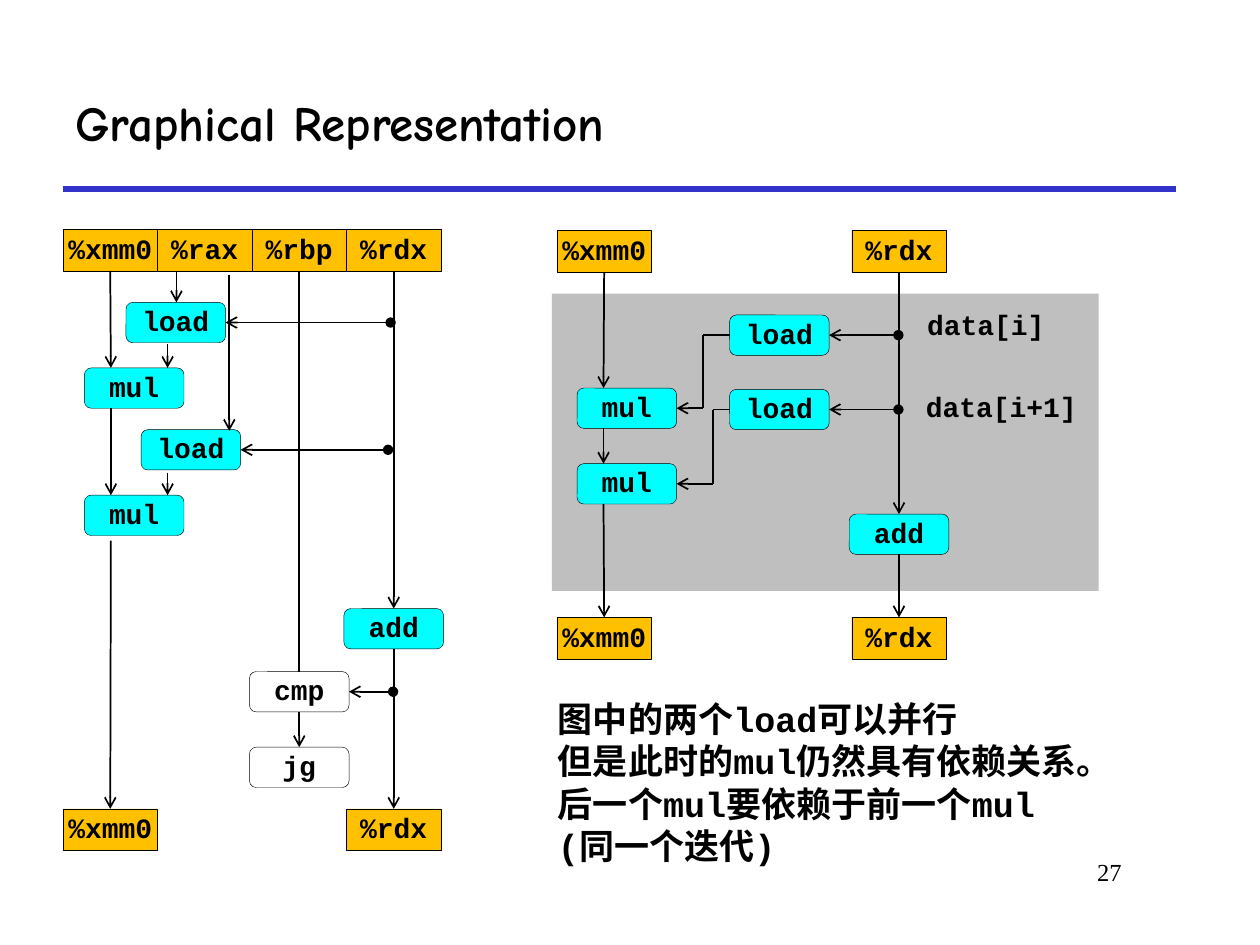
from lxml.etree import SubElement
from pptx import Presentation
from pptx.dml.color import RGBColor
from pptx.enum.shapes import MSO_CONNECTOR, MSO_SHAPE
from pptx.enum.text import MSO_ANCHOR, PP_ALIGN
from pptx.oxml.ns import qn
from pptx.util import Inches, Pt

BLACK = RGBColor(0, 0, 0)
WHITE = RGBColor(255, 255, 255)
GOLD = RGBColor(0xFF, 0xC0, 0)
CYAN = RGBColor(0, 255, 255)
GRAY = RGBColor(0xBF, 0xBF, 0xBF)
BLUE = RGBColor(0x33, 0x33, 0xCC)
CODE_FONT = "Courier New"
TOP, LEFT, BOTTOM, RIGHT = range(4)

REGISTER = (MSO_SHAPE.RECTANGLE, 0.75, 0.33, GOLD)
LOOP_OP = (MSO_SHAPE.ROUNDED_RECTANGLE, 0.79, 0.32, CYAN)
TEST_OP = (MSO_SHAPE.ROUNDED_RECTANGLE, 0.79, 0.32, WHITE)

REGISTER_ROW = ["%xmm0", "%rax", "%rbp", "%rdx"]
nodes = {f"{name} in": (name, REGISTER, 0.5 + 0.75 * column, 1.82)
         for column, name in enumerate(REGISTER_ROW)}
nodes.update({
    "%xmm0 out": ("%xmm0", REGISTER, 0.5, 6.42),
    "%rdx out": ("%rdx", REGISTER, 2.75, 6.42),
    "load 1": ("load", LOOP_OP, 1, 2.4),
    "mul 1": ("mul", LOOP_OP, 0.67, 2.92),
    "load 2": ("load", LOOP_OP, 1.12, 3.41),
    "mul 2": ("mul", LOOP_OP, 0.67, 3.93),
    "add": ("add", LOOP_OP, 2.73, 4.83),
    "cmp": ("cmp", TEST_OP, 1.98, 5.33),
    "jg": ("jg", TEST_OP, 1.98, 5.93),
    "flow %xmm0 in": ("%xmm0", REGISTER, 4.42, 1.83),
    "flow %rdx in": ("%rdx", REGISTER, 6.76, 1.83),
    "flow %xmm0 out": ("%xmm0", REGISTER, 4.42, 4.9),
    "flow %rdx out": ("%rdx", REGISTER, 6.76, 4.9),
    "flow load 1": ("load", LOOP_OP, 5.79, 2.5),
    "flow load 2": ("load", LOOP_OP, 5.79, 3.09),
    "flow mul 1": ("mul", LOOP_OP, 4.58, 3.08),
    "flow mul 2": ("mul", LOOP_OP, 4.58, 3.68),
    "flow add": ("add", LOOP_OP, 6.74, 4.08),
})

arrows = [
    ((0.88, 4.29), ("%xmm0 out", TOP)),
    (("%xmm0 in", BOTTOM), (0.88, 2.92)),
    ((0.88, 3.24), (0.88, 3.93)),
    ((1.4, 2.15), (1.4, 2.4)),
    ((1.82, 2.18), (1.82, 3.42)),
    ((1.33, 2.73), (1.33, 2.92)),
    ((1.33, 3.75), (1.33, 3.93)),
    (("%rdx in", BOTTOM), ("add", TOP)),
    (("add", BOTTOM), ("%rdx out", TOP)),
    (("cmp", BOTTOM), ("jg", TOP)),
    (("flow %xmm0 in", BOTTOM), (4.79, 3.08)),
    ((4.79, 3.4), (4.79, 3.68)),
    ((4.79, 4), ("flow %xmm0 out", TOP)),
    (("flow %rdx in", BOTTOM), ("flow add", TOP)),
    (("flow add", BOTTOM), ("flow %rdx out", TOP)),
]
taps = [("load 1", 3.1), ("load 2", 3.08), ("cmp", 3.12),
        ("flow load 1", 7.13), ("flow load 2", 7.13)]
bends = [("flow load 1", 5.58, "flow mul 1"), ("flow load 2", 5.66, "flow mul 2")]

data_labels = [("data[i]", 7.26, 2.42, 1.21), ("data[i+1]", 7.25, 3.07, 1.47)]
remarks = ["图中的两个load可以并行", "但是此时的mul仍然具有依赖关系。",
           "后一个mul要依赖于前一个mul", "(同一个迭代)"]

presentation = Presentation()
presentation.slide_width, presentation.slide_height = Inches(10), Inches(7.5)
slide = presentation.slides.add_slide(presentation.slide_layouts[6])
shapes = slide.shapes


def write(frame, lines, font, size, bold=True, align=PP_ALIGN.LEFT,
          spacing=0.9, anchor=MSO_ANCHOR.TOP):
    frame.word_wrap = True
    frame.vertical_anchor = anchor
    for index, line in enumerate(lines):
        paragraph = frame.add_paragraph() if index else frame.paragraphs[0]
        paragraph.text = line
        paragraph.alignment = align
        paragraph.line_spacing = spacing
        paragraph.font.name = font
        paragraph.font.size = Pt(size)
        paragraph.font.bold = bold
        paragraph.font.color.rgb = BLACK


def add_text(x, y, width, height, lines, font, size, **style):
    box = shapes.add_textbox(Inches(x), Inches(y), Inches(width), Inches(height))
    write(box.text_frame, lines, font, size, **style)


def add_block(kind, x, y, width, height, fill):
    block = shapes.add_shape(kind, Inches(x), Inches(y), Inches(width), Inches(height))
    block.shadow.inherit = False
    block.fill.solid()
    block.fill.fore_color.rgb = fill
    return block


def add_node(text, style, x, y):
    kind, width, height, fill = style
    node = add_block(kind, x, y, width, height, fill)
    node.line.color.rgb = BLACK
    node.line.width = Pt(0.25)
    frame = node.text_frame
    frame.margin_left = frame.margin_right = frame.margin_top = frame.margin_bottom = 0
    write(frame, [text], CODE_FONT, 16, align=PP_ALIGN.CENTER, anchor=MSO_ANCHOR.MIDDLE)
    return node


def locate(end):
    if not isinstance(end[0], str):
        return end
    name, side = end
    _, (_, width, height, _), x, y = nodes[name]
    across, down = [(0.5, 0), (0, 0.5), (0.5, 1), (1, 0.5)][side]
    return x + width * across, y + height * down


def add_line(start, end, head=None, tail=None, color=BLACK, width=1):
    points = [Inches(value) for value in (*locate(start), *locate(end))]
    line = shapes.add_connector(MSO_CONNECTOR.STRAIGHT, *points)
    line.line.color.rgb = color
    line.line.width = Pt(width)
    for tag, ending in (("a:headEnd", head), ("a:tailEnd", tail)):
        if ending:
            SubElement(line.line._get_or_add_ln(), qn(tag), type=ending)
    SubElement(line._element.spPr, qn("a:effectLst"))
    if isinstance(start[0], str):
        line.begin_connect(drawn[start[0]], start[1])
    if isinstance(end[0], str):
        line.end_connect(drawn[end[0]], end[1])


add_line((0.5, 1.5), (9.33, 1.5), color=BLUE, width=3)
add_text(7.58, 6.75, 1.42, 0.5, ["27"], "Times New Roman", 14, bold=False,
         align=PP_ALIGN.RIGHT, spacing=1)
add_text(0.5, 0.5, 8.83, 1, ["Graphical Representation"], "Comic Neue", 28,
         anchor=MSO_ANCHOR.MIDDLE)

loop_body = add_block(MSO_SHAPE.RECTANGLE, 4.38, 2.33, 4.34, 2.36, GRAY)
loop_body.line.fill.background()

drawn = {key: add_node(*node) for key, node in nodes.items()}

for start, end in arrows:
    add_line(start, end, tail="arrow")
add_line(("%rbp in", BOTTOM), ("cmp", TOP))
for target, x in taps:
    side = (target, RIGHT)
    add_line((x, locate(side)[1]), side, head="oval", tail="arrow")
for source, bend, target in bends:
    leave, arrive = (source, LEFT), (target, RIGHT)
    upper, lower = (bend, locate(leave)[1]), (bend, locate(arrive)[1])
    add_line(leave, upper)
    add_line(upper, lower)
    add_line(lower, arrive, tail="arrow")

for label, x, y, width in data_labels:
    add_text(x, y, width, 0.34, [label], CODE_FONT, 16)
add_text(4.33, 5.49, 4.61, 1.45, remarks, CODE_FONT, 20, spacing=1)

presentation.save("out.pptx")
